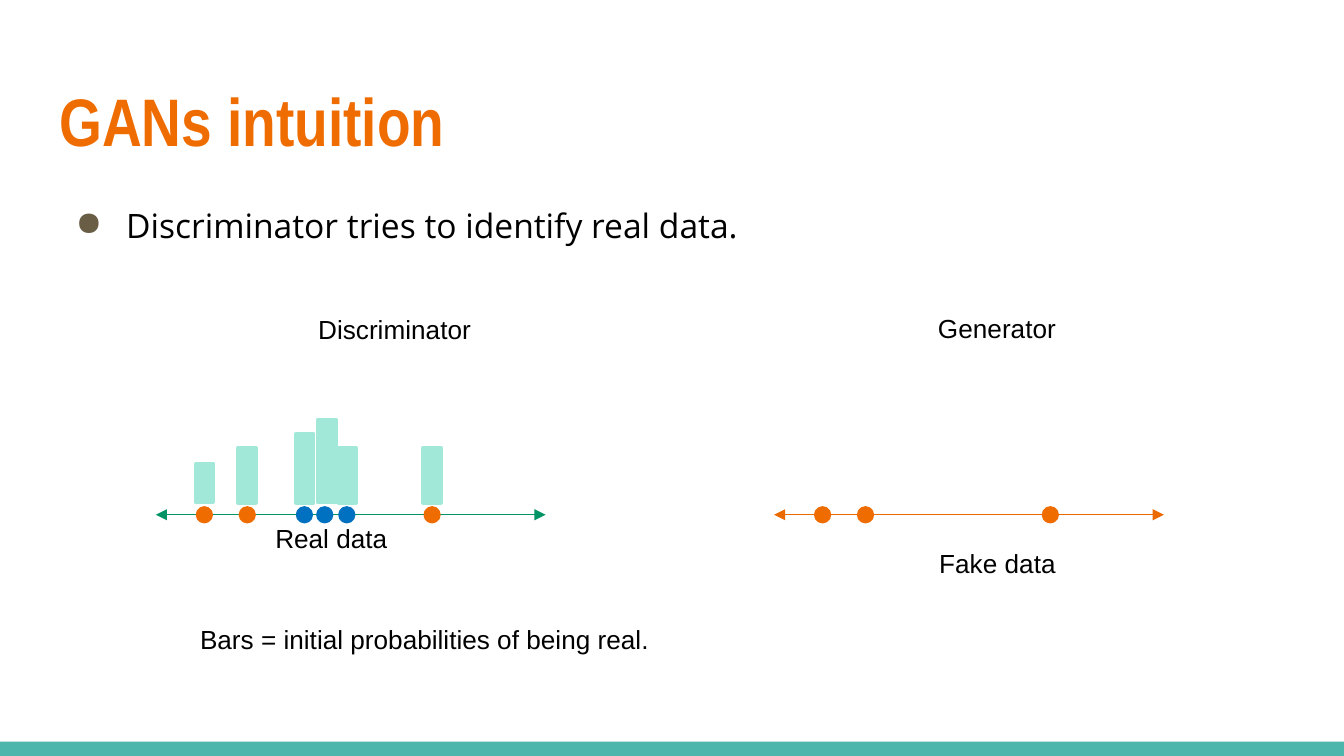
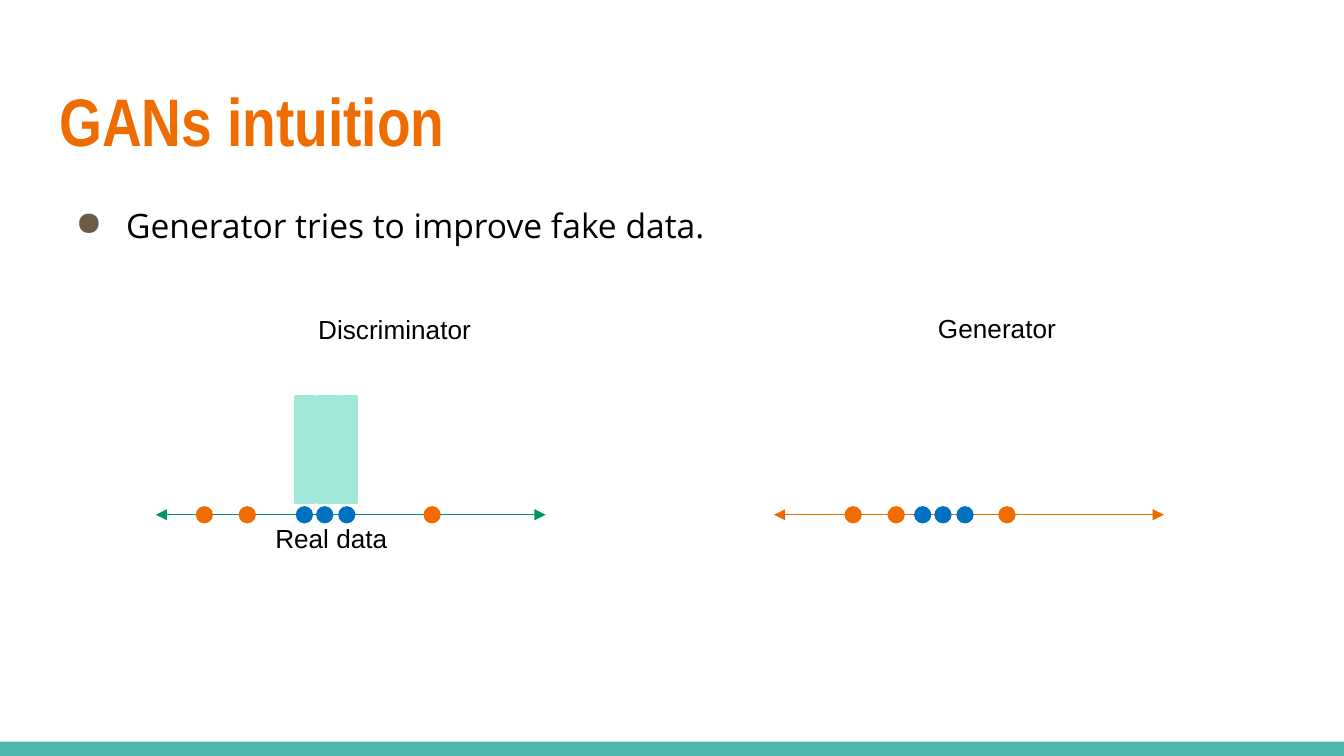
from lxml import etree
from pptx import Presentation
from pptx.dml.color import RGBColor
from pptx.enum import shapes, text
from pptx.oxml import ns
from pptx.util import Pt

COLORS = {
    "band": "4DB6AC", "title": "EF6C00", "ink": "000000", "bullet": "695D46",
    "fake": "EF6C00", "real": "0070C0", "bar": "A1E8D9",
    "generator": "EA6A00", "discriminator": "009366",
}
WIDTH, HEIGHT = 720, 405
BAND_HEIGHT = 7.6
AXIS_WIDTH, AXIS_DROP = 208.8, 111.6
DOT, BAR = 7.2, 9.4
BAR_BASE = AXIS_DROP - 6.5
DISCRIMINATOR_BOX = (83.5, 164.2)
GENERATOR_BOX = (414.7, 164.2)
REAL = (79.6, 90.5, 102.3)
FAKE = (26, 49, 148)
IMPROVED_FAKE = (42.4, 65.4, 124.8)
INITIAL_BARS = {26.2: 20.9, 48.8: 29.5, 79.8: 36.7, 91.7: 44.6, 102.6: 29.5, 148: 29.5}
TRAINED_BARS = {79.9: 56.9, 91.7: 56.9, 102.6: 56.9}


def rgb(name):
    """Return the named colour."""
    return RGBColor.from_string(COLORS[name])


def add_xml(parent, tag, **attributes):
    """Append a drawing element to its parent."""
    return etree.SubElement(parent, ns.qn(tag), attributes)


def write(paragraph, wording, size, font="Arial", color="ink", bold=False):
    """Add one formatted run to a paragraph."""
    run = paragraph.add_run()
    run.text = wording
    run.font.size, run.font.name, run.font.bold = Pt(size), font, bold
    run.font.color.rgb = rgb(color)


def add_block(owner, kind, left, top, width, height, color, outline=2):
    """Add a plain shape filled and outlined in one colour."""
    block = owner.shapes.add_shape(kind, Pt(left), Pt(top), Pt(width), Pt(height))
    block.shadow.inherit = False
    block.fill.solid()
    block.fill.fore_color.rgb = rgb(color)
    if outline:
        block.line.color.rgb = rgb(color)
        block.line.width = Pt(outline)
    else:
        block.line.fill.background()
    return block


def add_label(owner, wording, left, top, width):
    """Add a one-line label that grows with its text."""
    label = owner.shapes.add_textbox(Pt(left), Pt(top), Pt(width), Pt(24.2))
    frame = label.text_frame
    frame.word_wrap = False
    frame.auto_size = text.MSO_AUTO_SIZE.SHAPE_TO_FIT_TEXT
    write(frame.paragraphs[0], wording, 14)


def add_axis(owner, left, top, color):
    """Add a horizontal axis with an arrowhead at each end."""
    axis = owner.shapes.add_connector(
        shapes.MSO_CONNECTOR.STRAIGHT, Pt(left), Pt(top), Pt(left + AXIS_WIDTH), Pt(top))
    axis.line.color.rgb = rgb(color)
    axis.line.width = Pt(0.75)
    outline = axis.line._get_or_add_ln()
    for end in ("a:headEnd", "a:tailEnd"):
        add_xml(outline, end, type="triangle")
    add_xml(axis._element.spPr, "a:effectLst")


def add_dots(owner, left, top, centers, color):
    """Add data points centred on the axis."""
    for center in centers:
        add_block(owner, shapes.MSO_SHAPE.OVAL, left + center - DOT / 2,
                  top + AXIS_DROP - DOT / 2, DOT, DOT, color)


def add_discriminator(slide, box, bars):
    """Draw real and fake data under the discriminator's probability bars."""
    left, top = box
    panel = slide.shapes.add_group_shape()
    add_axis(panel, left, top + AXIS_DROP, "discriminator")
    add_dots(panel, left, top, FAKE, "fake")
    add_label(panel, "Discriminator", left + 79.9, top, 96.5)
    add_dots(panel, left, top, REAL, "real")
    add_label(panel, "Real data", left + 56.9, top + 112.3, 74.9)
    for center, height in bars.items():
        add_block(panel, shapes.MSO_SHAPE.RECTANGLE, left + center - BAR / 2,
                  top + BAR_BASE - height, BAR, height, "bar")


def add_generator(slide, box, fake, caption=None, real=()):
    """Draw the generator's fake data, with real data where it is known."""
    left, top = box
    panel = slide.shapes.add_group_shape()
    add_axis(panel, left, top + AXIS_DROP, "generator")
    add_dots(panel, left, top, fake, "fake")
    if caption:
        add_label(panel, caption, left + 81.4, top + 125.3, 77)
    add_label(panel, "Generator", left + 80.7, top - 0.3, 77.8)
    add_dots(slide, left, top, real, "real")


def set_frame(frame):
    """Give a text frame wrapping, a fixed size and even insets."""
    frame.word_wrap = True
    frame.auto_size = text.MSO_AUTO_SIZE.NONE
    frame.margin_left = frame.margin_right = Pt(7.2)
    frame.margin_top = frame.margin_bottom = Pt(7.2)
    frame.vertical_anchor = text.MSO_ANCHOR.TOP


def add_statement(slide, wording):
    """Add the bulleted statement below the title."""
    statement = slide.shapes.add_textbox(Pt(24.5), Pt(99.4), Pt(671), Pt(260))
    set_frame(statement.text_frame)
    paragraph = statement.text_frame.paragraphs[0]
    paragraph.line_spacing = 1.15
    properties = paragraph._p.get_or_add_pPr()
    properties.set("marL", str(Pt(36)))
    properties.set("indent", str(Pt(-27)))
    add_xml(add_xml(properties, "a:buClr"), "a:srgbClr", val=COLORS["bullet"])
    add_xml(properties, "a:buChar", char="●")
    write(paragraph, wording, 18, "Open Sans")


def add_intuition_slide(deck, statement):
    """Add a slide with the shared title and a statement."""
    slide = deck.slides.add_slide(deck.slide_layouts[5])
    title = slide.shapes.title
    title.left, title.top, title.width, title.height = Pt(24.5), Pt(35.3), Pt(671), Pt(55.4)
    set_frame(title.text_frame)
    heading = title.text_frame.paragraphs[0]
    heading.alignment = text.PP_ALIGN.LEFT
    write(heading, "GANs intuition", 36, "Arial Narrow", "title", True)
    add_statement(slide, statement)
    return slide


def add_master_band(deck, slide):
    """Draw the bottom band and move it to the slide master."""
    band = add_block(slide, shapes.MSO_SHAPE.RECTANGLE, 0, HEIGHT - BAND_HEIGHT,
                     WIDTH, BAND_HEIGHT, "band", outline=0)
    deck.slide_master.shapes._spTree.append(band._element)


def main():
    """Build and save the two slides."""
    deck = Presentation()
    deck.slide_width, deck.slide_height = Pt(WIDTH), Pt(HEIGHT)

    identify = add_intuition_slide(deck, "Discriminator tries to identify real data.")
    add_master_band(deck, identify)
    add_generator(identify, GENERATOR_BOX, FAKE, caption="Fake data")
    add_discriminator(identify, DISCRIMINATOR_BOX, INITIAL_BARS)
    add_label(identify, "Bars = initial probabilities of being real.", 100.1, 330.5, 256.3)

    improve = add_intuition_slide(deck, "Generator tries to improve fake data.")
    add_generator(improve, GENERATOR_BOX, IMPROVED_FAKE, real=REAL)
    add_discriminator(improve, DISCRIMINATOR_BOX, TRAINED_BARS)

    deck.save("out.pptx")


if __name__ == "__main__":
    main()
